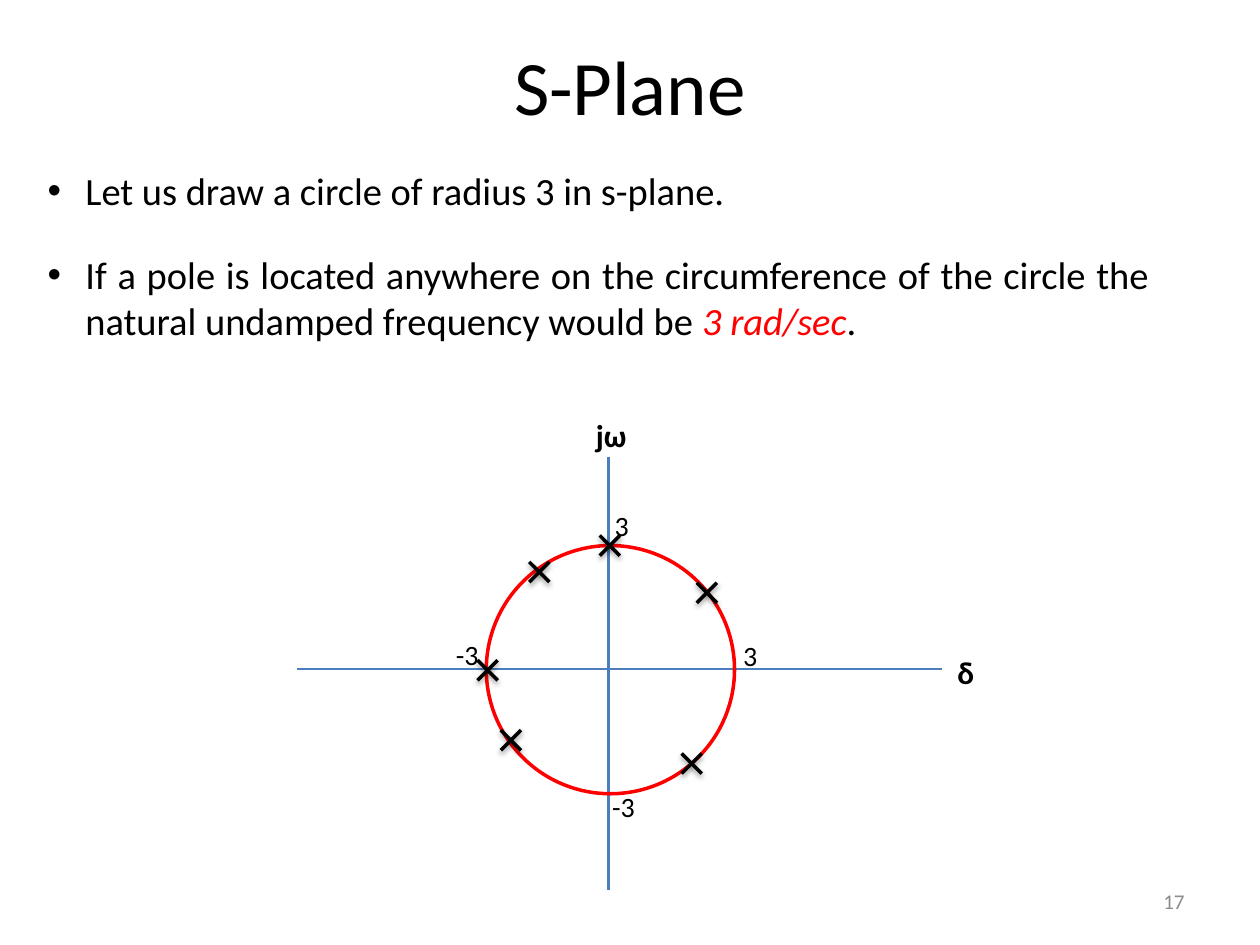
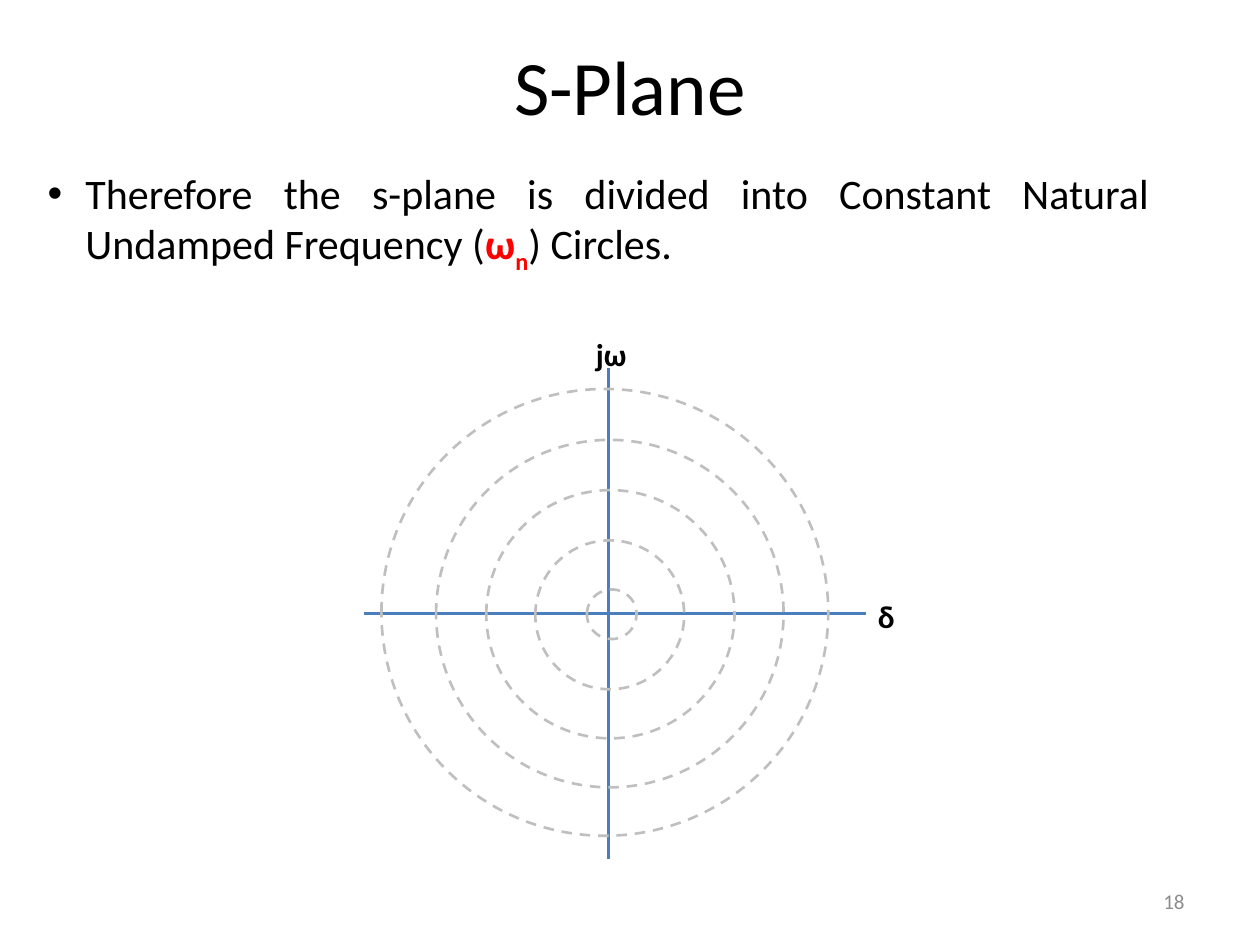
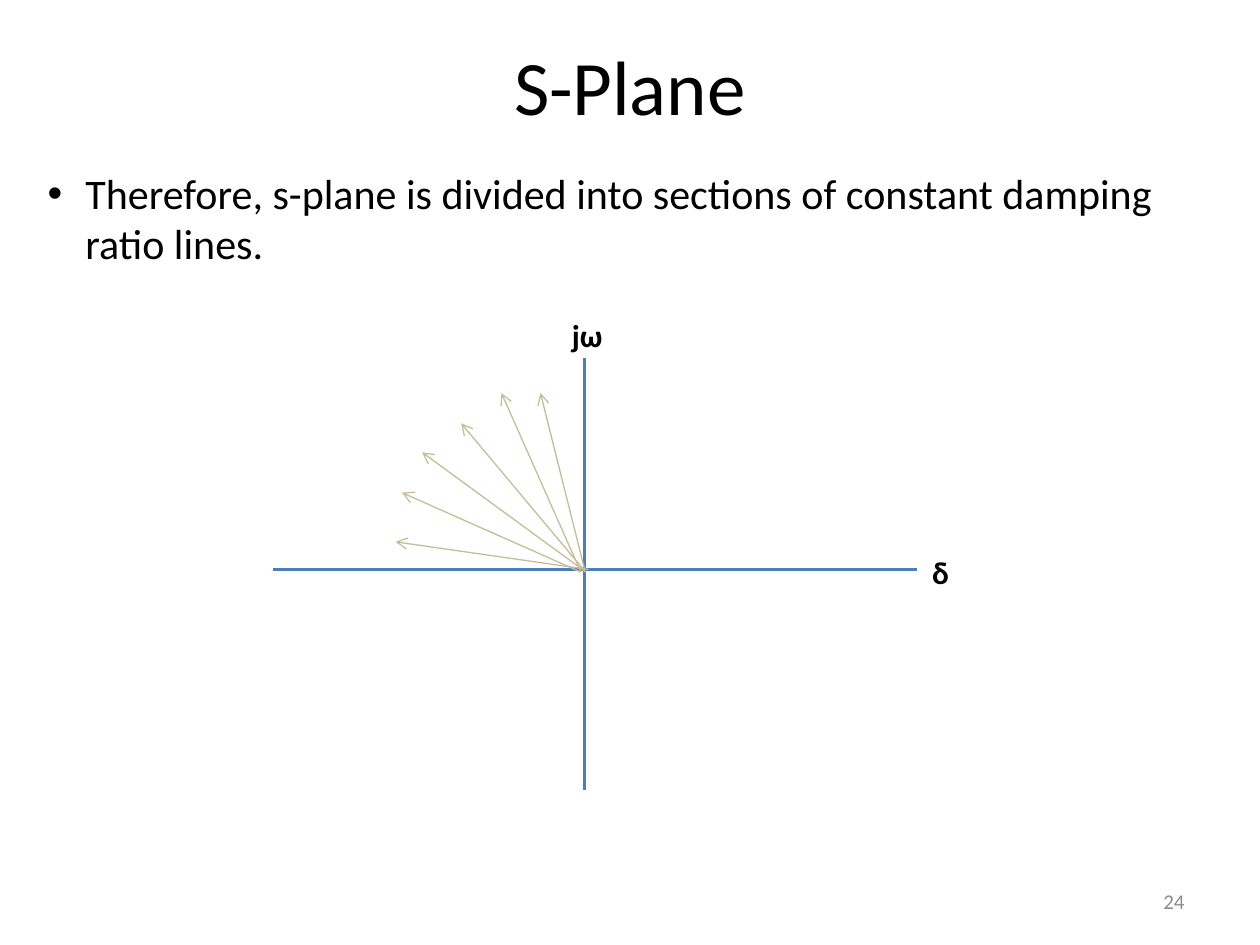
from lxml import etree
from pptx import Presentation
from pptx import util as u
from pptx.dml import color
from pptx.enum import dml, shapes, text
from pptx.oxml import ns

COLUMNS, ROWS = 100, 75
BLACK, RED, BLUE = "000000", "FF0000", "4B7EBC"
SILVER, SAND, GRAY = "BFBFBF", "C4BD97", "8C8C8C"


def rgb(value):
    return color.RGBColor.from_string(value)


def add_element(parent, tag, **attributes):
    return etree.SubElement(parent, ns.qn(tag), attributes)


class Deck:
    font_name = "Calibri"

    def __init__(self):
        self.presentation = Presentation()
        self.presentation.slide_width = u.Inches(10)
        self.presentation.slide_height = u.Inches(7.5)
        self.slide = None

    def x(self, columns):
        return round(self.presentation.slide_width * columns / COLUMNS)

    def y(self, rows):
        return round(self.presentation.slide_height * rows / ROWS)

    def new_slide(self, title, number):
        self.slide = self.presentation.slides.add_slide(self.presentation.slide_layouts[6])
        self.text_box(5, 0.5, 90, 12.5, title, 44, align=text.PP_ALIGN.CENTER, middle=True)
        self.text_box(71.7, 69.5, 23.3, 4, number, 12, GRAY, text.PP_ALIGN.RIGHT, True)

    def format_run(self, run, size, hue=BLACK, bold=False, italic=False):
        run.font.name = self.font_name
        run.font.size = u.Pt(size)
        run.font.bold = bold
        run.font.italic = italic
        run.font.color.rgb = rgb(hue)

    def text_box(self, left, top, width, height, words, size, hue=BLACK,
                 align=text.PP_ALIGN.LEFT, middle=False, bold=False, grow=False):
        shape = self.slide.shapes.add_textbox(self.x(left), self.y(top), self.x(width), self.y(height))
        frame = shape.text_frame
        frame.word_wrap = not grow
        if grow:
            frame.auto_size = text.MSO_AUTO_SIZE.SHAPE_TO_FIT_TEXT
        frame.vertical_anchor = text.MSO_ANCHOR.MIDDLE if middle else text.MSO_ANCHOR.TOP
        frame.text = words
        paragraph = frame.paragraphs[0]
        paragraph.alignment = align
        for run in paragraph.runs:
            self.format_run(run, size, hue, bold)
        return paragraph

    def label(self, left, top, width, words, size=16, bold=False):
        self.text_box(left, top, width, size / 4 - 0.4, words, size, bold=bold, grow=True)

    def bullet(self, top, height, size, pieces, width=89.4, align=text.PP_ALIGN.JUSTIFY):
        paragraph = self.text_box(2.8, top, width, height, "", size, align=align)
        properties = paragraph._p.get_or_add_pPr()
        properties.set("marL", str(self.x(3)))
        properties.set("indent", str(-self.x(3)))
        add_element(properties, "a:buFont", typeface="Arial")
        add_element(properties, "a:buChar", char="•")
        for words, style in pieces:
            run = paragraph.add_run()
            run.text = words
            self.format_run(run, size, **style)
        return paragraph

    def line(self, start, end, hue, width, arrow=False, shadow=False):
        connector = self.slide.shapes.add_connector(
            shapes.MSO_CONNECTOR.STRAIGHT,
            self.x(start[0]), self.y(start[1]), self.x(end[0]), self.y(end[1]))
        connector.line.color.rgb = rgb(hue)
        connector.line.width = u.Pt(width)
        if arrow:
            add_element(connector.line._get_or_add_ln(), "a:tailEnd", type="arrow")
        effects = add_element(connector._element.spPr, "a:effectLst")
        if shadow:
            outer = add_element(effects, "a:outerShdw", blurRad=str(u.Pt(3.1)), dist=str(u.Pt(1.6)),
                                dir="5400000", rotWithShape="0")
            tone = add_element(outer, "a:srgbClr", val=BLACK)
            add_element(tone, "a:alpha", val="38000")

    def circle(self, center, radius, hue, width, dashed=False):
        shape = self.slide.shapes.add_shape(
            shapes.MSO_SHAPE.OVAL, self.x(center[0] - radius), self.y(center[1] - radius),
            self.x(2 * radius), self.y(2 * radius))
        shape.shadow.inherit = False
        shape.fill.background()
        shape.line.color.rgb = rgb(hue)
        shape.line.width = u.Pt(width)
        if dashed:
            shape.line.dash_style = dml.MSO_LINE.DASH

    def pole(self, center, arm=0.8):
        column, row = center
        for side in (arm, -arm):
            self.line((column + side, row - arm), (column - side, row + arm), BLACK, 2, shadow=True)

    def axes(self, origin, left, right, top, bottom, label_rise=3.8, label_gap=0.2):
        column, row = origin
        self.line((column, top), (column, bottom), BLUE, 1.5)
        self.line((right, row), (left, row), BLUE, 1.5)
        self.label(right + label_gap, row - 1.8, 3.4, "δ", 18, True)
        self.label(column - 2, top - label_rise, 4.5, "jω", 18, True)


def radius_slide(deck):
    deck.new_slide("S-Plane", "17")
    deck.axes((48.3, 53.1), 23.6, 74.8, 36.3, 70.6)
    deck.bullet(12.8, 4.7, 22, [("Let us draw a circle of radius 3 in s-plane.", {})])
    deck.bullet(19.4, 8.4, 22, [
        ("If a pole is located anywhere on the circumference of the circle the "
         "natural undamped frequency would be ", {}),
        ("3 rad/sec", {"hue": RED, "italic": True}),
        (".", {})])
    deck.circle((48.45, 53.15), 9.85, RED, 2)
    for left, top, width, words in ((47.8, 39.9, 3.2, "3"), (35.2, 50.1, 3.8, "-3"),
                                    (47.6, 62.2, 3.8, "-3"), (58, 50.2, 3.2, "3")):
        deck.label(left, top, width, words)
    for center in ((42.8, 45.4), (56.1, 47.05), (54.9, 60.6),
                   (40.55, 58.75), (38.7, 53.2), (48.4, 43.3)):
        deck.pole(center)


def frequency_slide(deck):
    deck.new_slide("S-Plane", "18")
    deck.axes((48.3, 48.7), 28.9, 68.7, 29.2, 68.2, label_rise=3.1, label_gap=0)
    paragraph = deck.bullet(12.8, 9.1, 24, [
        ("Therefore the s-plane is divided into Constant Natural Undamped Frequency (", {}),
        ("ω", {"hue": RED, "bold": True}),
        ("n", {"hue": RED, "bold": True}),
        (") Circles.", {})])
    paragraph.runs[2]._r.get_or_add_rPr().set("baseline", "-25000")
    centers = ((48.55, 48.75), (48.4, 48.8), (48.45, 48.75), (48.4, 48.7), (48, 48.6))
    for ring, center in enumerate(centers):
        deck.circle(center, 1.97 * (2 * ring + 1), SILVER, 1.5, dashed=True)


def damping_slide(deck):
    deck.new_slide("S-Plane", "24")
    deck.axes((46.4, 45.2), 21.7, 72.8, 28.4, 62.7)
    deck.bullet(12.8, 9.1, 24, [
        ("Therefore, s-plane is divided into sections of constant damping ratio lines.", {})],
        width=94.5, align=text.PP_ALIGN.LEFT)
    for start, end in (((46.4, 45.2), (42.9, 31.2)), ((46.4, 45.3), (36.6, 33.6)),
                       ((46.1, 45.4), (39.8, 31.2)), ((46.5, 45.4), (33.5, 35.9)),
                       ((46.1, 45.4), (31.9, 39.1)), ((46.7, 45.2), (31.4, 43))):
        deck.line(start, end, SAND, 0.75, arrow=True)


def main():
    deck = Deck()
    radius_slide(deck)
    frequency_slide(deck)
    damping_slide(deck)
    deck.presentation.save("out.pptx")


if __name__ == "__main__":
    main()
